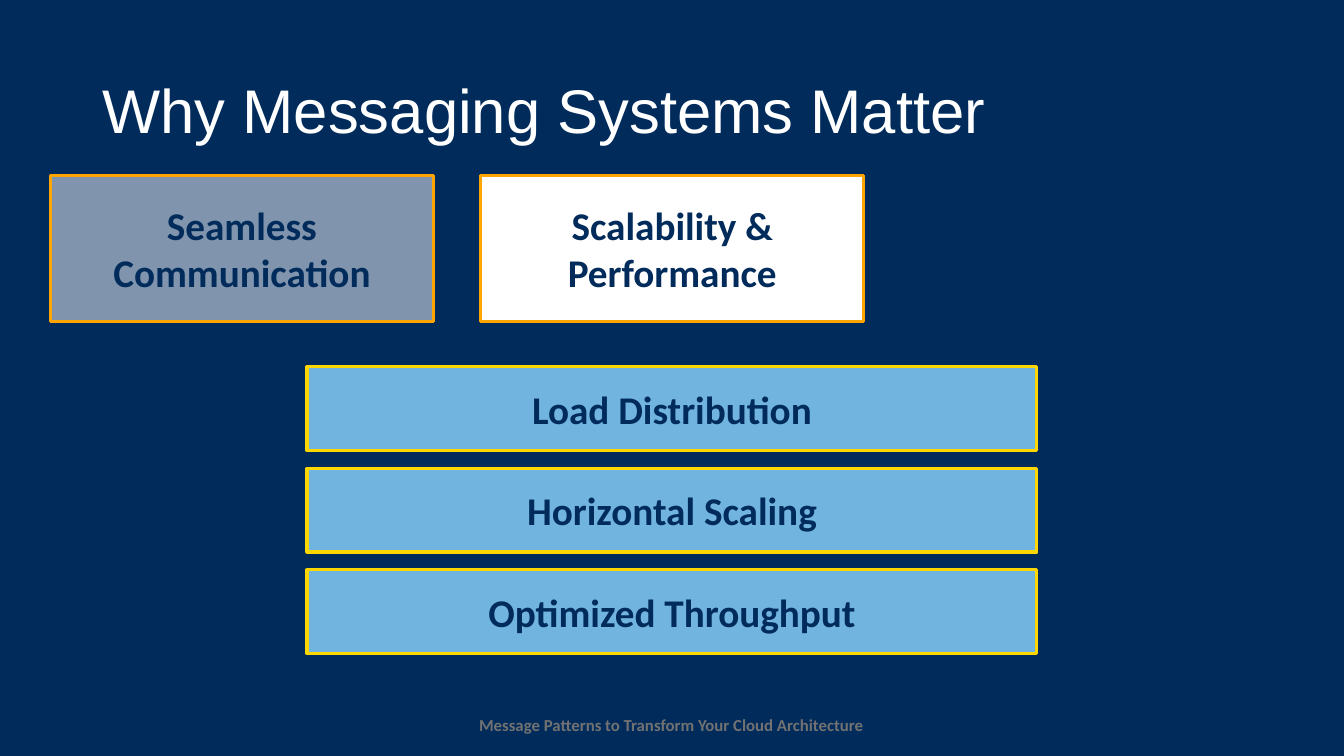
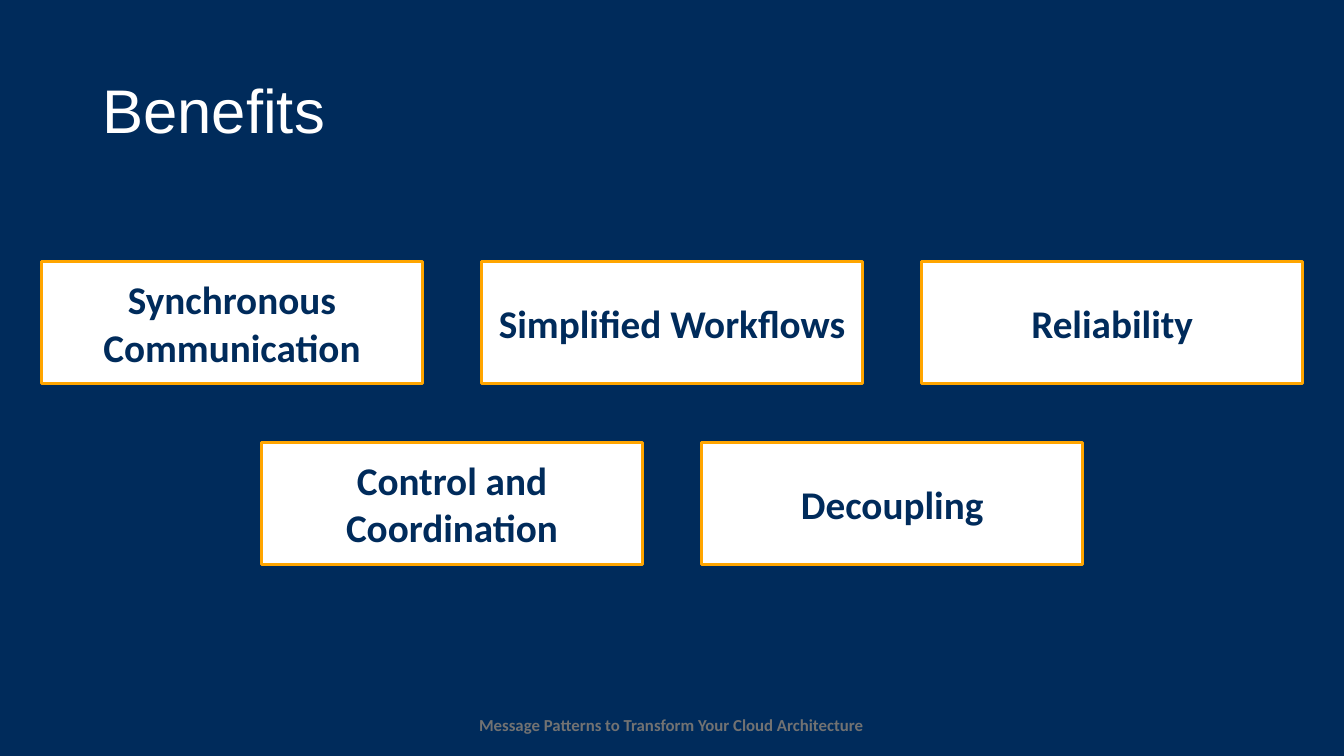
from pptx import Presentation
from pptx.dml.color import RGBColor
from pptx.enum.shapes import MSO_SHAPE
from pptx.enum.text import MSO_ANCHOR, MSO_AUTO_SIZE, PP_ALIGN
from pptx.oxml.ns import qn
from pptx.util import Pt
from lxml import etree

RECT = MSO_SHAPE.RECTANGLE
MIDDLE = MSO_ANCHOR.MIDDLE
CENTER, LEFT = PP_ALIGN.CENTER, PP_ALIGN.LEFT
FIT, FIXED = MSO_AUTO_SIZE.SHAPE_TO_FIT_TEXT, MSO_AUTO_SIZE.NONE

NAVY, WHITE, GREY = "002B5B", "FFFFFF", "727272"
SKY, GOLD, AMBER = "72B4E0", "FFD700", "FFA500"
WIDE, HIGH = 960, 540
FOOTER = "Message Patterns to Transform Your Cloud Architecture"


def paint(target, color):
    if hasattr(target, "solid"):
        target.solid()
        target.fore_color.rgb = RGBColor.from_string(color)
    else:
        target.color.rgb = RGBColor.from_string(color)


def style(frame, size, name, color, bold, align):
    par = frame.paragraphs[0]
    par.alignment = align
    font = par.runs[0].font
    font.size, font.name, font.bold = Pt(size), name, bold
    paint(font, color)


prs = Presentation()
prs.slide_width, prs.slide_height = Pt(WIDE), Pt(HIGH)
paint(prs.slide_master.background.fill, NAVY)

bar_w = 521.3
bar_x = (WIDE - bar_w) / 2
matter = [
    ("Seamless Communication", 36, 125.3, 273.6, 104.4, WHITE, AMBER, 50),
    ("Scalability & Performance", 343.4, 125.3, 273.6, 104.4, WHITE, AMBER, 100),
]
bars = ["Load Distribution", "Horizontal Scaling", "Optimized Throughput"]
for row, label in enumerate(bars):
    matter.append((label, bar_x, 262 + row * 72.5, bar_w, 59.8, SKY, GOLD, 100))

card_w, step = 272.2, 314.4
rows = [
    ["Synchronous Communication", "Simplified Workflows", "Reliability"],
    ["Control and Coordination", "Decoupling"],
]
gains = []
for row, labels in enumerate(rows):
    start = (WIDE - card_w - step * (len(labels) - 1)) / 2
    for col, label in enumerate(labels):
        gains.append((label, start + col * step, 187 + row * 129,
                      card_w, 87.1, WHITE, AMBER, 100))

for heading, boxes in [("Why Messaging Systems Matter", matter), ("Benefits", gains)]:
    slide = prs.slides.add_slide(prs.slide_layouts[5])

    title = slide.shapes.title
    title.left, title.top, title.width, title.height = Pt(66), Pt(28.8), Pt(828), Pt(104.4)
    frame = title.text_frame
    frame.text = heading
    frame.vertical_anchor = MIDDLE
    frame.auto_size = FIXED
    frame.paragraphs[0].line_spacing = 0.9
    style(frame, 44, "Arial", WHITE, False, LEFT)

    foot = slide.shapes.add_textbox(Pt(333.4), Pt(507), Pt(292.3), Pt(21.8))
    frame = foot.text_frame
    frame.text = FOOTER
    frame.word_wrap = False
    frame.auto_size = FIT
    style(frame, 12, "Calibri", GREY, True, CENTER)

    for label, x, y, w, h, fill, edge, alpha in boxes:
        box = slide.shapes.add_shape(RECT, Pt(x), Pt(y), Pt(w), Pt(h))
        box.shadow.inherit = False
        paint(box.fill, fill)
        paint(box.line, edge)
        box.line.width = Pt(2.25)
        if alpha < 100:
            tint = box.fill._xPr.find(qn("a:solidFill"))[0]
            etree.SubElement(tint, qn("a:alpha")).set("val", str(alpha * 1000))
        frame = box.text_frame
        frame.text = label
        frame.word_wrap = True
        frame.vertical_anchor = MIDDLE
        style(frame, 28, "Calibri", NAVY, True, CENTER)

prs.save("out.pptx")
